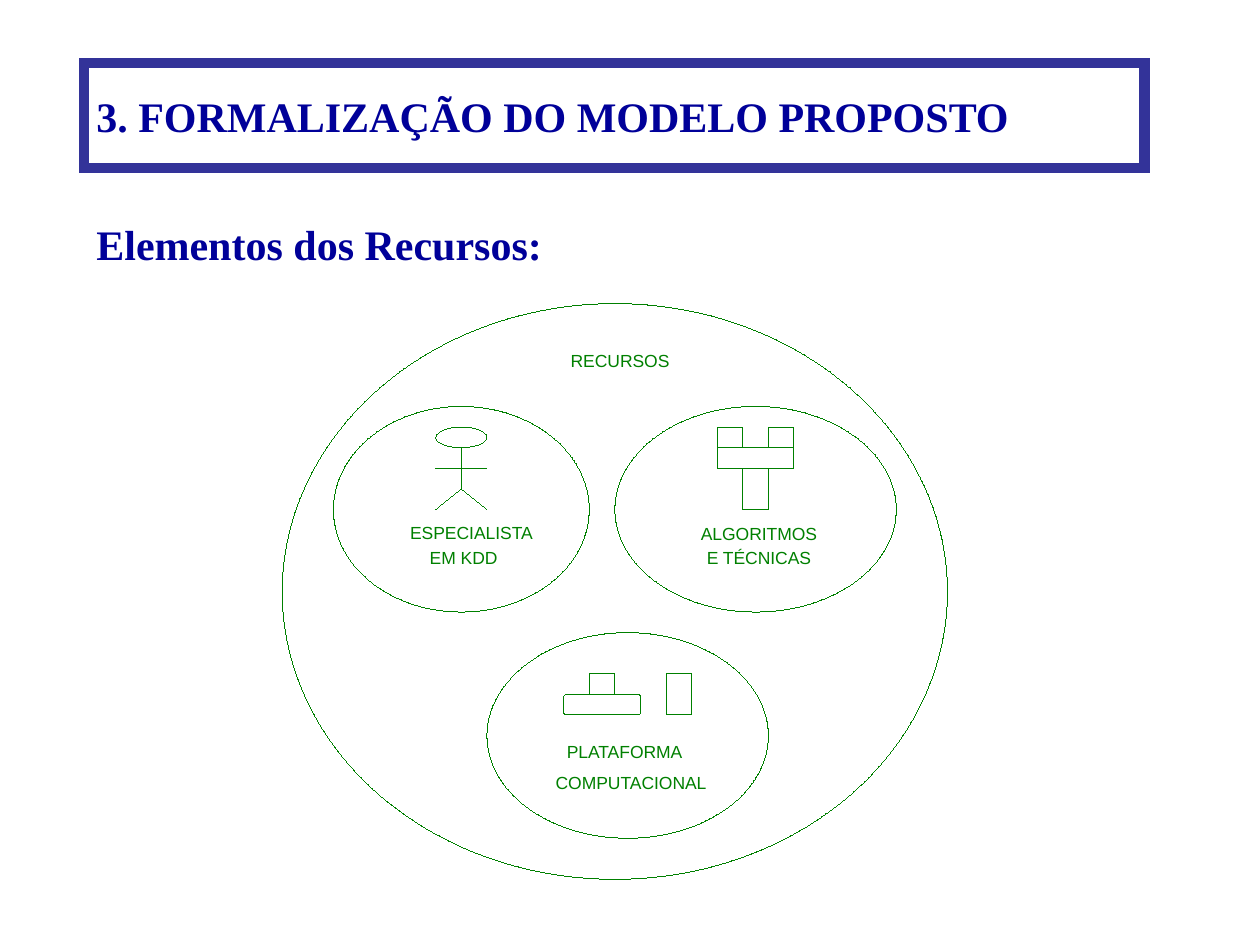
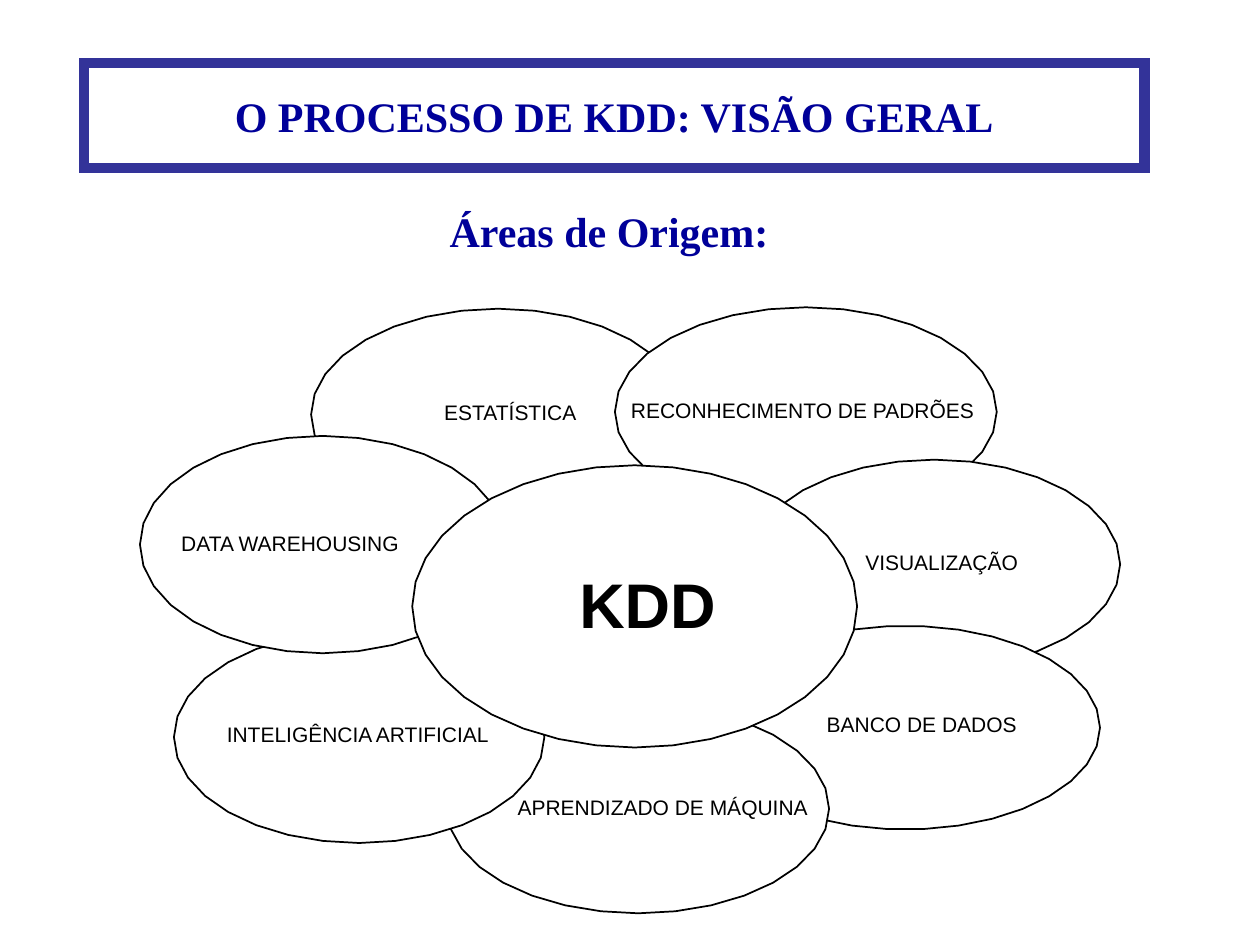
from math import cos, pi, sin

from lxml import etree
from pptx import Presentation
from pptx.dml.color import RGBColor
from pptx.enum.shapes import MSO_CONNECTOR, MSO_SHAPE
from pptx.enum.text import MSO_ANCHOR, MSO_AUTO_SIZE, PP_ALIGN
from pptx.oxml.ns import qn
from pptx.util import Pt

LEFT, CENTER = PP_ALIGN.LEFT, PP_ALIGN.CENTER
TOP, MIDDLE = MSO_ANCHOR.TOP, MSO_ANCHOR.MIDDLE
FIXED, GROW = MSO_AUTO_SIZE.NONE, MSO_AUTO_SIZE.SHAPE_TO_FIT_TEXT
OVAL, RECTANGLE = MSO_SHAPE.OVAL, MSO_SHAPE.RECTANGLE
ROUNDED = MSO_SHAPE.ROUNDED_RECTANGLE
STRAIGHT = MSO_CONNECTOR.STRAIGHT

COLORS = {
    "frame": "333399",
    "heading": "000099",
    "diagram": "008000",
    "ink": "000000",
    "paper": "FFFFFF",
}
RGB = {name: RGBColor.from_string(value) for name, value in COLORS.items()}

HEADING = {"name": "Times New Roman", "size": Pt(24), "bold": True}
RESOURCE_LABEL = {"name": "Arial", "size": Pt(10)}
AREA_LABEL = {"name": "Arial", "size": Pt(12)}
CORE_LABEL = {"name": "Arial", "size": Pt(36), "bold": True}
HAIRLINE = 0.01  # a width of zero would fall back to the theme's line


def write(shape, text, font, color, align=CENTER, anchor=TOP, margins=(0, 0), wrap=False):
    """Put one formatted line in a shape; margins are (horizontal, vertical)."""
    across, down = (Pt(margin) for margin in margins)
    frame_format = {
        "margin_left": across, "margin_right": across,
        "margin_top": down, "margin_bottom": down,
        "word_wrap": wrap, "vertical_anchor": anchor,
        "auto_size": FIXED if wrap else GROW,
    }
    for name, value in frame_format.items():
        setattr(shape.text_frame, name, value)
    para = shape.text_frame.paragraphs[0]
    para.alignment = align
    span = para.add_run()
    span.text = text
    for name, value in font.items():
        setattr(span.font, name, value)
    span.font.color.rgb = RGB[color]


def style(shape, line_color, line_width, fill=None):
    shape.shadow.inherit = False
    if fill:
        shape.fill.solid()
        shape.fill.fore_color.rgb = RGB[fill]
    else:
        shape.fill.background()
    shape.line.color.rgb = RGB[line_color]
    shape.line.width = Pt(line_width)


deck = Presentation()
deck.slide_width, deck.slide_height = Pt(720), Pt(540)

# Title frame and heading on both slides
headings = [
    ("3. FORMALIZAÇÃO DO MODELO PROPOSTO", "Elementos dos Recursos:", 121.4, LEFT),
    ("O PROCESSO DE KDD: VISÃO GERAL", "Áreas de Origem:", 113.75, CENTER),
]
pages = []
for title, heading, heading_top, align in headings:
    page = deck.slides.add_slide(deck.slide_layouts[6])
    pages.append(page)
    frame = page.shapes.add_shape(RECTANGLE, Pt(48), Pt(36), Pt(606), Pt(60))
    style(frame, "frame", 6)
    outline = frame._element.spPr.find(qn("a:ln"))
    etree.SubElement(outline, qn("a:miter"), lim="800000")  # square corners
    write(frame, title, HEADING, "heading", align, MIDDLE, (7.2, 3.6), True)
    box = page.shapes.add_textbox(Pt(48), Pt(heading_top), Pt(600), Pt(36))
    write(box, heading, HEADING, "heading", align, TOP, (7.2, 3.6), True)

resources_page, areas_page = pages

# Resources: everything sits on a grid of columns and rows
GRID_LEFT, GRID_TOP = 161.3, 173.5
COLUMN, ROW = 14.62, 11.75

resource_shapes = [  # preset, column, row, columns wide, rows high
    (OVAL, 0, 0, 26, 28),        # all resources
    (OVAL, 2, 5, 10, 10),        # specialist
    (OVAL, 13, 5, 11, 10),       # algorithms
    (OVAL, 8, 16, 11, 10),       # platform
    (OVAL, 6, 6, 2, 1),          # head of the specialist
    (RECTANGLE, 18, 8, 1, 2),    # tool handle
    (RECTANGLE, 17, 7, 3, 1),
    (RECTANGLE, 17, 6, 1, 1),
    (RECTANGLE, 19, 6, 1, 1),
    (RECTANGLE, 15, 18, 1, 2),   # computer
    (RECTANGLE, 12, 18, 1, 1),
    (ROUNDED, 11, 19, 3, 1),
]
for preset, column, row, columns, rows in resource_shapes:
    shape = resources_page.shapes.add_shape(
        preset, Pt(GRID_LEFT + column * COLUMN), Pt(GRID_TOP + row * ROW),
        Pt(columns * COLUMN), Pt(rows * ROW))
    style(shape, "diagram", HAIRLINE)
    if preset == ROUNDED:
        shape.adjustments[0] = 0.125

specialist_limbs = [  # start column and row, end column and row
    (7, 7, 7, 9),
    (7, 8, 6, 8),
    (7, 8, 8, 8),
    (7, 9, 6, 10),
    (7, 9, 8, 10),
]
for start_column, start_row, end_column, end_row in specialist_limbs:
    limb = resources_page.shapes.add_connector(
        STRAIGHT,
        Pt(GRID_LEFT + start_column * COLUMN), Pt(GRID_TOP + start_row * ROW),
        Pt(GRID_LEFT + end_column * COLUMN), Pt(GRID_TOP + end_row * ROW))
    limb.line.color.rgb = RGB["diagram"]
    limb.line.width = Pt(HAIRLINE)
    etree.SubElement(limb._element.spPr, qn("a:effectLst"))

resource_labels = [  # text, centre, top
    ("RECURSOS", 354.3, 200.2),
    ("ESPECIALISTA", 269.4, 298.1),
    ("EM KDD", 264.9, 312.5),
    ("ALGORITMOS", 433.7, 298.8),
    ("E TÉCNICAS", 433.7, 312.5),
    ("PLATAFORMA", 356.9, 423.4),
    ("COMPUTACIONAL", 360.6, 441),
]
LABEL_WIDTH = 92
for text, center, top in resource_labels:
    box = resources_page.shapes.add_textbox(
        Pt(center - LABEL_WIDTH / 2), Pt(top), Pt(LABEL_WIDTH), Pt(12.2))
    write(box, text, RESOURCE_LABEL, "diagram")

# Areas of origin: many-sided ovals, from back to front
areas = [  # text, oval (left, top, width, height), sides, label (left, top, width, height)
    ("ESTATÍSTICA", (177.8, 176.4, 213.8, 121), 32, (252.7, 228.2, 77.8, 14.4)),
    ("RECONHECIMENTO DE PADRÕES", (351.4, 175.6, 218.2, 119.5), 32, (359, 227.1, 199.3, 14.4)),
    ("VISUALIZAÇÃO", (427.7, 262.7, 212.4, 119.5), 32, (490.1, 313.9, 96, 14.4)),
    ("BANCO DE DADOS", (406.1, 357.6, 222.5, 116.4), 34, (471.3, 406.8, 111, 14.4)),
    ("APRENDIZADO DE MÁQUINA", (255.6, 402.4, 218.2, 119.5), 32, (295.4, 453.9, 166.8, 14.4)),
    ("INTELIGÊNCIA ARTIFICIAL", (99.4, 360.7, 211.7, 121), 32, (128, 412.2, 153, 14.4)),
    ("DATA WAREHOUSING", (80, 249.1, 208.8, 124.2), 32, (101, 303.1, 129.6, 14.4)),
    ("KDD", (235.6, 265.9, 254.2, 161.3), 36, (322, 323.3, 96, 43.2)),
]
for text, (left, top, width, height), sides, label_place in areas:
    corners = []
    for side in range(sides):
        angle = 2 * pi * side / sides
        corners.append((Pt(left + width / 2 * (1 - cos(angle))),
                        Pt(top + height / 2 * (1 - sin(angle)))))
    outline = areas_page.shapes.build_freeform(*corners[0])
    outline.add_line_segments(corners[1:], close=True)
    style(outline.convert_to_shape(), "ink", 1, "paper")

    label = areas_page.shapes.add_textbox(*(Pt(length) for length in label_place))
    label.fill.solid()
    label.fill.fore_color.rgb = RGB["paper"]
    write(label, text, CORE_LABEL if text == "KDD" else AREA_LABEL, "ink")

deck.save("out.pptx")
